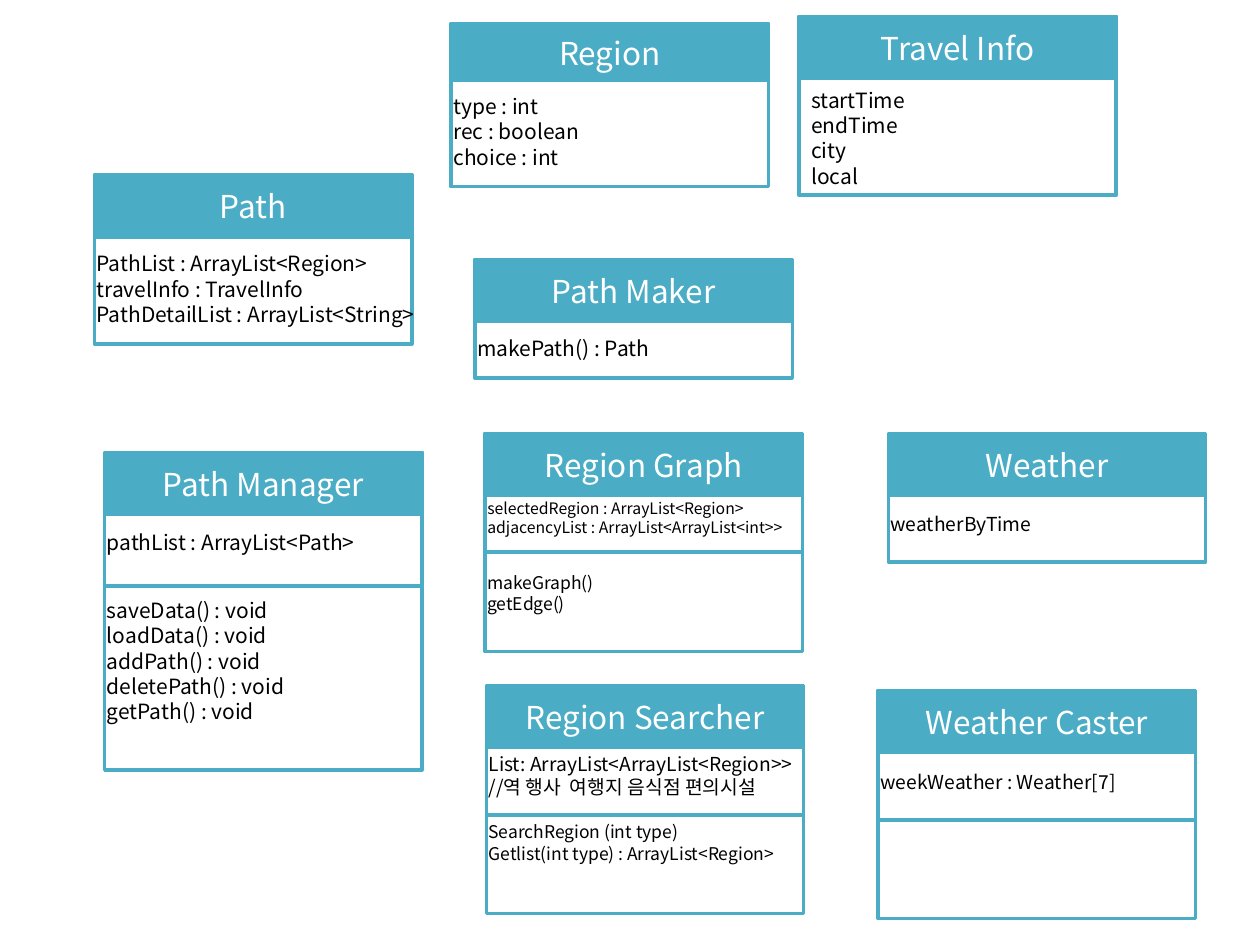
import pptx
import pptx.util
import pptx.dml.color
import pptx.enum.shapes
import pptx.enum.text
import pptx.oxml.ns
import lxml.etree
from dataclasses import dataclass
from typing import Optional

Pt = pptx.util.Pt
FONT = "Noto Sans CJK KR"
TEAL = "4BACC6"
WHITE = "FFFFFF"
BLACK = "000000"
WIDE = 181.4
INSET = 5.8
LEAD = 1.21


@dataclass
class Block:
    top: float
    text: str
    size: float = 12


@dataclass
class Card:
    name: str
    left: float
    top: float
    high: float
    blocks: list[Block]
    rule: Optional[float] = None
    head: float = 35.3
    shift: float = -INSET


CARDS = [
    Card("Path", 54, 100.1, 96.5, [
        Block(139.7, "PathList : ArrayList<Region>\ntravelInfo : TravelInfo\n"
                     "PathDetailList : ArrayList<String>")]),
    Card("Path Manager", 59.8, 258.5, 181.4, [
        Block(298.8, "pathList : ArrayList<Path>"),
        Block(337.7, "saveData() : void\nloadData() : void\naddPath() : void\n"
                     "deletePath() : void\ngetPath() : void")], rule=334.8),
    Card("Region", 257.8, 13.7, 92.9, [
        Block(49.7, "type : int\nrec : boolean\nchoice : int")], head=32.4),
    Card("Travel Info", 456.5, 9.4, 102.2, [
        Block(46.1, "startTime\nendTime\ncity\nlocal")], shift=0),
    Card("Region Searcher", 277.9, 391.7, 130.3, [
        Block(426.2, "List: ArrayList<ArrayList<Region>>\n"
                     "//역 행사  여행지 음식점 편의시설", 11),
        Block(465.8, "SearchRegion (int type)\n"
                     "Getlist(int type) : ArrayList<Region>", 10)], rule=465.8),
    Card("Path Maker", 271.4, 148.3, 67.7, [
        Block(187.9, "makePath() : Path")], rule=182.2),
    Card("Weather Caster", 501.8, 394.6, 130.3, [
        Block(436.3, "weekWeather : Weather[7]", 11)], rule=468.7),
    Card("Weather", 507.6, 247.7, 73.4, [
        Block(289.4, "weatherByTime", 11)]),
    Card("Region Graph", 277.2, 247.7, 124.6, [
        Block(281.5, "selectedRegion : ArrayList<Region>\n"
                     "adjacencyList : ArrayList<ArrayList<int>>", 9),
        Block(323.3, "makeGraph()\ngetEdge()", 10)], rule=315.4),
]


def tint(code: str) -> pptx.dml.color.RGBColor:
    return pptx.dml.color.RGBColor.from_string(code)


def write(shape, text: str, *, size: float, color: str = BLACK,
          align: str = "LEFT", anchor: str = "TOP") -> None:
    frame = shape.text_frame
    frame.word_wrap = True
    frame.vertical_anchor = pptx.enum.text.MSO_ANCHOR[anchor]
    frame.text = text
    for para in frame.paragraphs:
        para.alignment = pptx.enum.text.PP_ALIGN[align]
        para.line_spacing = Pt(size * LEAD)
        for run in para.runs:
            run.font.name = FONT
            run.font.size = Pt(size)
            run.font.color.rgb = tint(color)
            props = run.font._element
            east = lxml.etree.SubElement(props, pptx.oxml.ns.qn("a:ea"))
            east.set("typeface", FONT)


def draw_box(group, card: Card, high: float, fill: str):
    box = group.shapes.add_shape(
        pptx.enum.shapes.MSO_SHAPE.RECTANGLE,
        Pt(card.left), Pt(card.top), Pt(WIDE), Pt(high))
    box.shadow.inherit = False
    box.fill.solid()
    box.fill.fore_color.rgb = tint(fill)
    box.line.color.rgb = tint(TEAL)
    box.line.width = Pt(2)
    return box


def draw_rule(group, card: Card) -> None:
    rule = group.shapes.add_connector(
        pptx.enum.shapes.MSO_CONNECTOR.STRAIGHT,
        Pt(card.left), Pt(card.rule), Pt(card.left + WIDE), Pt(card.rule))
    rule.line.color.rgb = tint(TEAL)
    rule.line.width = Pt(2.25)
    lxml.etree.SubElement(rule._element.spPr, pptx.oxml.ns.qn("a:effectLst"))


def draw_block(group, card: Card, block: Block) -> None:
    lines = block.text.count("\n") + 1
    box = group.shapes.add_textbox(
        Pt(card.left + card.shift), Pt(block.top),
        Pt(209.5), Pt(lines * block.size * LEAD + 7.2))
    write(box, block.text, size=block.size)


def draw_card(slide, card: Card) -> None:
    group = slide.shapes.add_group_shape()
    draw_box(group, card, card.high, WHITE)
    head = draw_box(group, card, card.head, TEAL)
    write(head, card.name, size=18, color=WHITE, align="CENTER", anchor="MIDDLE")
    if card.rule is not None:
        draw_rule(group, card)
    for block in card.blocks:
        draw_block(group, card, block)


def main() -> None:
    deck = pptx.Presentation()
    deck.slide_width, deck.slide_height = Pt(720), Pt(540)
    slide = deck.slides.add_slide(deck.slide_layouts[6])
    for card in CARDS:
        draw_card(slide, card)
    deck.save("out.pptx")


if __name__ == "__main__":
    main()
